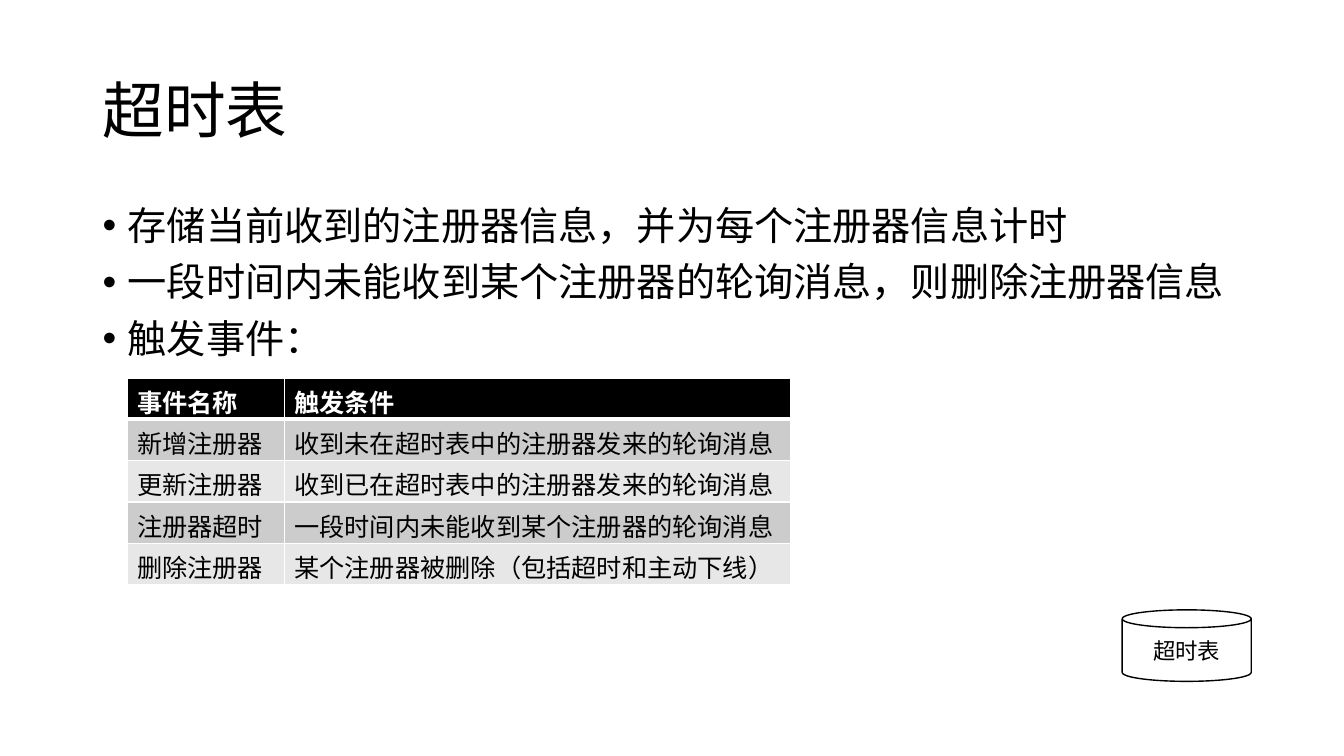
import pptx
import pptx.dml.color
import pptx.enum.shapes
import pptx.enum.text
import pptx.oxml.ns
import pptx.util
from lxml import etree

Inches = pptx.util.Inches
Pt = pptx.util.Pt
qn = pptx.oxml.ns.qn

FONT = "Noto Sans CJK SC"
BLACK, WHITE = "000000", "FFFFFF"
ROW_FILLS = ("E7E7E7", "CCCCCC")

BULLETS = (
    "存储当前收到的注册器信息，并为每个注册器信息计时",
    "一段时间内未能收到某个注册器的轮询消息，则删除注册器信息",
    "触发事件：",
)
EVENTS = (
    ("事件名称", "触发条件"),
    ("新增注册器", "收到未在超时表中的注册器发来的轮询消息"),
    ("更新注册器", "收到已在超时表中的注册器发来的轮询消息"),
    ("注册器超时", "一段时间内未能收到某个注册器的轮询消息"),
    ("删除注册器", "某个注册器被删除（包括超时和主动下线）"),
)


def color(hex_string):
    """Turn a hex string into an RGB colour."""
    return pptx.dml.color.RGBColor.from_string(hex_string)


def format_runs(paragraph, size, hex_string=BLACK, bold=False):
    """Give every run of a paragraph its font, size and colour."""
    for run in paragraph.runs:
        run.font.name = FONT
        run.font.size = Pt(size)
        run.font.bold = bold
        run.font.color.rgb = color(hex_string)
        east_asian = etree.SubElement(run.font._element, qn("a:ea"))
        east_asian.set("typeface", FONT)


def add_bullet(paragraph):
    """Put a round bullet with a hanging indent before a paragraph."""
    properties = paragraph._p.get_or_add_pPr()
    properties.set("marL", str(Inches(0.25)))
    properties.set("indent", str(Inches(-0.25)))
    etree.SubElement(properties, qn("a:buFont")).set("typeface", "Arial")
    etree.SubElement(properties, qn("a:buChar")).set("char", "•")


def add_text(slide, box, lines, size, space_before=0, bullets=False, middle=False):
    """Add a wrapping text box with one paragraph per line."""
    text_box = slide.shapes.add_textbox(*map(Inches, box))
    text_frame = text_box.text_frame
    text_frame.word_wrap = True
    if middle:
        text_frame.vertical_anchor = pptx.enum.text.MSO_ANCHOR.MIDDLE
    text_frame.text = "\n".join(lines)
    for paragraph in text_frame.paragraphs:
        paragraph.line_spacing = 0.9
        paragraph.space_before = Pt(space_before)
        if bullets:
            add_bullet(paragraph)
        format_runs(paragraph, size)


def set_borders(cell, bottom_width):
    """Draw white lines round a cell; the bottom one has its own width."""
    properties = cell._tc.get_or_add_tcPr()
    widths = {"a:lnL": 1, "a:lnR": 1, "a:lnT": 1, "a:lnB": bottom_width}
    for position, (tag, width) in enumerate(widths.items()):
        line = etree.Element(qn(tag), w=str(Pt(width)))
        fill = etree.SubElement(line, qn("a:solidFill"))
        etree.SubElement(fill, qn("a:srgbClr")).set("val", WHITE)
        properties.insert(position, line)


def add_event_table(slide, left, top, column_widths, row_height):
    """Add the event table with a black header and grey bands."""
    frame = slide.shapes.add_table(
        len(EVENTS), len(column_widths), Inches(left), Inches(top),
        Inches(sum(column_widths)), Inches(row_height * len(EVENTS)))
    table = frame.table
    for column, width in zip(table.columns, column_widths):
        column.width = Inches(width)
    for row_index, texts in enumerate(EVENTS):
        header = row_index == 0
        for column_index, text in enumerate(texts):
            cell = table.cell(row_index, column_index)
            cell.text_frame.text = text
            format_runs(cell.text_frame.paragraphs[0], 18,
                        WHITE if header else BLACK, bold=header)
            cell.fill.solid()
            cell.fill.fore_color.rgb = color(BLACK if header else ROW_FILLS[row_index % 2])
            set_borders(cell, 3 if header else 1)


def add_store(slide, box, text):
    """Add a labelled cylinder that stands for a data store."""
    shape = slide.shapes.add_shape(pptx.enum.shapes.MSO_SHAPE.CAN, *map(Inches, box))
    shape.shadow.inherit = False
    shape.fill.solid()
    shape.fill.fore_color.rgb = color(WHITE)
    shape.line.color.rgb = color(BLACK)
    shape.line.width = Pt(1)
    text_frame = shape.text_frame
    text_frame.text = text
    text_frame.vertical_anchor = pptx.enum.text.MSO_ANCHOR.MIDDLE
    paragraph = text_frame.paragraphs[0]
    paragraph.alignment = pptx.enum.text.PP_ALIGN.CENTER
    format_runs(paragraph, 16)


def main():
    """Build the timeout table slide and save it."""
    presentation = pptx.Presentation()
    presentation.slide_width = Inches(13.33)
    presentation.slide_height = Inches(7.5)
    slide = presentation.slides.add_slide(presentation.slide_layouts[6])
    add_text(slide, (0.92, 0.4, 11.5, 1.45), ["超时表"], 44, middle=True)
    add_text(slide, (0.92, 2, 11.5, 4.76), BULLETS, 28, space_before=10, bullets=True)
    add_event_table(slide, 1.26, 3.75, (1.56, 5.02), 0.41)
    add_store(slide, (11.13, 6.05, 1.28, 0.71), "超时表")
    presentation.save("out.pptx")


main()
